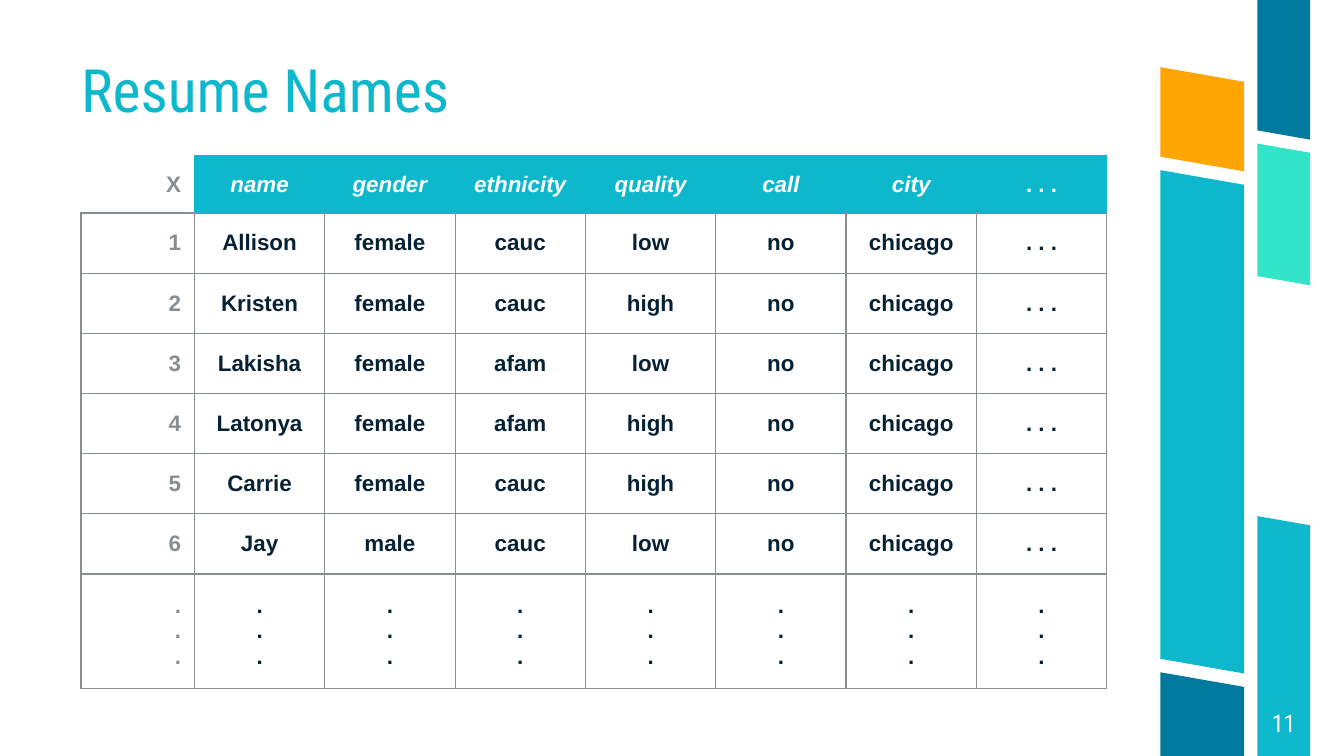
from pptx import Presentation
from pptx.dml.color import RGBColor
from pptx.enum.text import MSO_ANCHOR, PP_ALIGN
from pptx.oxml.ns import qn
from pptx.util import Pt
from lxml.etree import SubElement

WIDTH, HEIGHT = 720, 405
COLORS = {
    "teal": "0DB8CC", "mint": "32E4C8", "blue": "00799E", "orange": "FFA604",
    "gray": "878E92", "ink": "062133", "white": "FFFFFF",
}
SLOPE = 0.175
ELLIPSIS = ". . ."
HEADINGS = ["X", "name", "gender", "ethnicity", "quality", "call", "city", ELLIPSIS]
RESUMES = [
    ("Allison", "female", "cauc", "low"),
    ("Kristen", "female", "cauc", "high"),
    ("Lakisha", "female", "afam", "low"),
    ("Latonya", "female", "afam", "high"),
    ("Carrie", "female", "cauc", "high"),
    ("Jay", "male", "cauc", "low"),
]
RIBBONS = [
    (673.6, 28.2, [(276.5, HEIGHT, "teal"), (76.9, 147.9, "mint"), (0, 69.9, "blue")]),
    (621.7, 44.8, [(36, 84, "orange"), (360.2, HEIGHT, "blue"), (91.2, 353, "teal")]),
]


class SlideBuilder:
    """Draws styled elements on the current slide."""

    heading_font = "Roboto Condensed"
    body_font = "Arial"

    def __init__(self, slide):
        self.slide = slide

    def color(self, name):
        return RGBColor.from_string(COLORS[name])

    def style(self, paragraph, font_name, size, color, align, bold=False, italic=False):
        paragraph.alignment = align
        font = paragraph.font
        font.name, font.size = font_name, Pt(size)
        font.bold, font.italic = bold, italic
        font.color.rgb = self.color(color)

    def ribbon(self, left, width, top, bottom, color):
        drop = width * SLOPE
        right = left + width
        right_top = top + drop if top else top
        right_bottom = min(bottom + drop, HEIGHT)
        outline = self.slide.shapes.build_freeform(Pt(left), Pt(top))
        outline.add_line_segments([
            (Pt(right), Pt(right_top)), (Pt(right), Pt(right_bottom)), (Pt(left), Pt(bottom)),
        ])
        band = outline.convert_to_shape()
        band.shadow.inherit = False
        band.fill.solid()
        band.fill.fore_color.rgb = self.color(color)
        band.line.fill.background()

    def text(self, words, left, top, width, height, size, color, align, anchor, spacing=1.0):
        frame = self.slide.shapes.add_textbox(Pt(left), Pt(top), Pt(width), Pt(height)).text_frame
        frame.word_wrap = True
        frame.margin_left = frame.margin_right = frame.margin_top = frame.margin_bottom = 0
        frame.vertical_anchor = anchor
        paragraph = frame.paragraphs[0]
        paragraph.text = words
        paragraph.line_spacing = spacing
        self.style(paragraph, self.heading_font, size, color, align)

    def border(self, cell, edges):
        properties = cell._tc.get_or_add_tcPr()
        for side, color in zip("LRTB", edges):
            line = SubElement(properties, qn(f"a:ln{side}"), w=str(Pt(0.75)))
            if color:
                fill = SubElement(line, qn("a:solidFill"))
                SubElement(fill, qn("a:srgbClr"), val=COLORS[color])
            else:
                SubElement(line, qn("a:noFill"))

    def cell(self, cell, words, row, column):
        is_heading, is_index = row == 0, column == 0
        if is_heading:
            edges = (None, "teal", None, "gray") if is_index else ["teal"] * 4
        else:
            top = "teal" if row == 1 and not is_index else "gray"
            edges = ("gray", "gray", top, "gray")
        self.border(cell, edges)
        if is_heading and not is_index:
            cell.fill.solid()
            cell.fill.fore_color.rgb = self.color("teal")
        else:
            cell.fill.background()
        cell.margin_left = cell.margin_right = cell.margin_top = cell.margin_bottom = Pt(7.2)
        cell.vertical_anchor = MSO_ANCHOR.MIDDLE
        cell.text = words
        color = "gray" if is_index else "white" if is_heading else "ink"
        align = PP_ALIGN.RIGHT if is_index else PP_ALIGN.CENTER
        italic = is_heading and not is_index and words != ELLIPSIS
        for paragraph in cell.text_frame.paragraphs:
            self.style(paragraph, self.body_font, 12, color, align, True, italic)

    def table(self, rows, left, top, widths, heights):
        table = self.slide.shapes.add_table(
            len(rows), len(widths), Pt(left), Pt(top), Pt(sum(widths)), Pt(sum(heights))
        ).table
        table.first_row = table.horz_banding = False
        for column, width in zip(table.columns, widths):
            column.width = Pt(width)
        for row, height in zip(table.rows, heights):
            row.height = Pt(height)
        for r, values in enumerate(rows):
            for c, words in enumerate(values):
                self.cell(table.cell(r, c), words, r, c)


def main():
    presentation = Presentation()
    presentation.slide_width, presentation.slide_height = Pt(WIDTH), Pt(HEIGHT)
    builder = SlideBuilder(presentation.slides.add_slide(presentation.slide_layouts[6]))

    for left, width, bands in RIBBONS:
        for top, bottom, color in bands:
            builder.ribbon(left, width, top, bottom, color)

    builder.text("Resume Names", 43.4, 36, 481, 31, 32, "teal",
                 PP_ALIGN.LEFT, MSO_ANCHOR.BOTTOM, 0.9)
    builder.text("11", 673.6, 369.4, 28.2, 35.6, 13, "white",
                 PP_ALIGN.CENTER, MSO_ANCHOR.MIDDLE)

    resume_rows = [
        [str(number), *resume, "no", "chicago", ELLIPSIS]
        for number, resume in enumerate(RESUMES, 1)
    ]
    continuation = ["\n".join("...")] * len(HEADINGS)
    builder.table(
        [HEADINGS, *resume_rows, continuation], 43.4, 83.3,
        [60.8] + [69.83] * (len(HEADINGS) - 1),
        [30.8] + [32.25] * len(RESUMES) + [61.3],
    )
    presentation.save("out.pptx")


if __name__ == "__main__":
    main()
